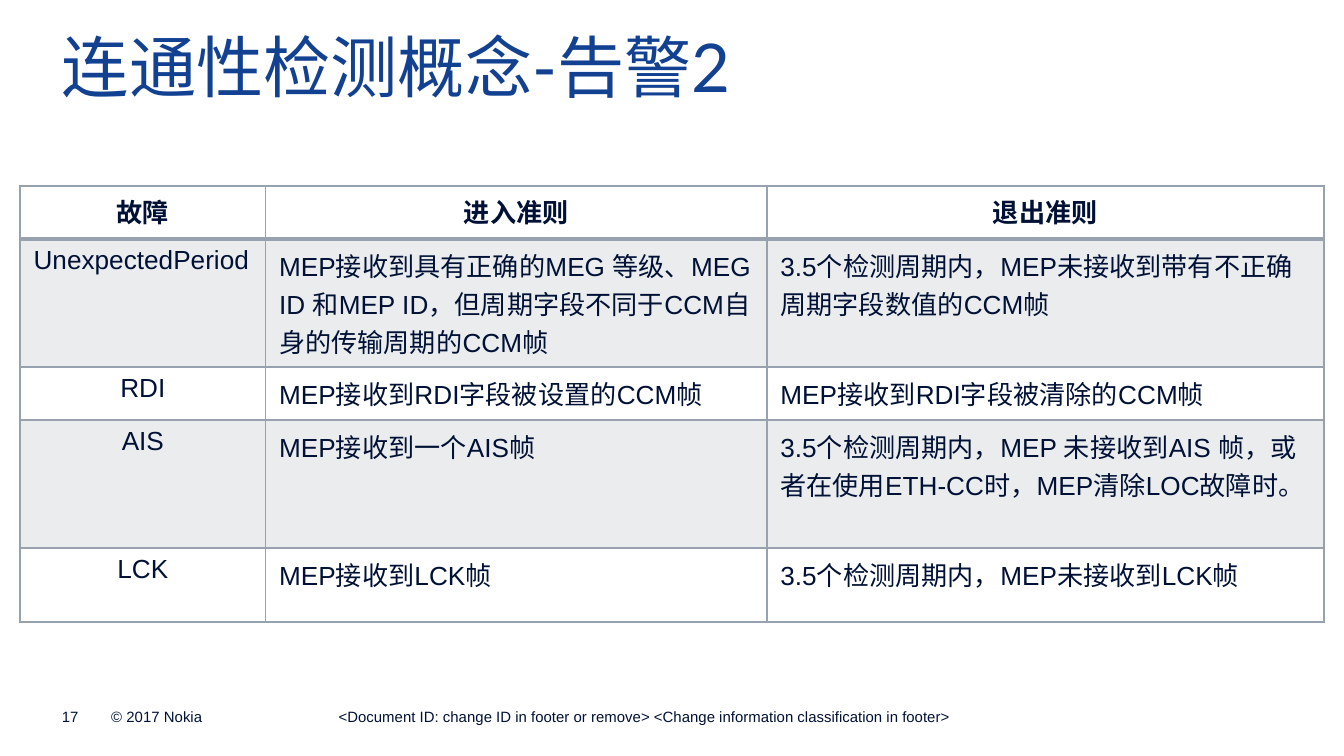
import lxml.etree
import pptx
import pptx.dml.color
import pptx.enum.text
import pptx.oxml.ns
import pptx.util

Pt = pptx.util.Pt
qn = pptx.oxml.ns.qn
ALIGN = pptx.enum.text.PP_ALIGN
ANCHOR = pptx.enum.text.MSO_ANCHOR

COLORS = {"title": "124191", "text": "001135", "grid": "98A2AE"}
FORMATS = {
    "title": {"name": "Lato", "size": Pt(36), "bold": False},
    "footer": {"name": "Arial", "size": Pt(8), "bold": False},
    "header": {"name": "Arial", "size": Pt(14), "bold": True},
    "body": {"name": "Arial", "size": Pt(14), "bold": False},
}
BAND_OPACITY = 20

COLUMN_WIDTHS = [131.5, 268.6, 298.3]
ROW_HEIGHTS = [28.5, 68.6, 28.5, 68.6, 39.6]
ALARMS = [
    ("故障", "进入准则", "退出准则"),
    ("UnexpectedPeriod",
     "MEP接收到具有正确的MEG 等级、MEG ID 和MEP ID，但周期字段不同于CCM自身的传输周期的CCM帧",
     "3.5个检测周期内，MEP未接收到带有不正确周期字段数值的CCM帧"),
    ("RDI", "MEP接收到RDI字段被设置的CCM帧", "MEP接收到RDI字段被清除的CCM帧"),
    ("AIS", "MEP接收到一个AIS帧",
     "3.5个检测周期内，MEP 未接收到AIS 帧，或者在使用ETH-CC时，MEP清除LOC故障时。"),
    ("LCK", "MEP接收到LCK帧", "3.5个检测周期内，MEP未接收到LCK帧"),
]
FOOTERS = [
    (33.1, 20.2, "17"),
    (59.6, 141.8, "© 2017 Nokia"),
    (181.4, 357.1, "<Document ID: change ID in footer or remove> "
                   "<Change information classification in footer>"),
]


def write_text(text_frame, text, style, color, alignment=ALIGN.LEFT):
    paragraph = text_frame.paragraphs[0]
    paragraph.alignment = alignment
    run = paragraph.add_run()
    run.text = text
    for attribute, value in FORMATS[style].items():
        setattr(run.font, attribute, value)
    run.font.color.rgb = pptx.dml.color.RGBColor.from_string(COLORS[color])


def add_text(slide, left, top, width, height, text, style, color, anchor):
    shape = slide.shapes.add_textbox(Pt(left), Pt(top), Pt(width), Pt(height))
    frame = shape.text_frame
    frame.word_wrap = True
    frame.vertical_anchor = anchor
    for side in ("left", "right", "top", "bottom"):
        setattr(frame, f"margin_{side}", 0)
    write_text(frame, text, style, color)


def add_element(parent, tag, **attributes):
    return lxml.etree.SubElement(parent, qn(tag), attributes)


def set_borders(cell, row_index):
    """Draw all four cell edges, with a heavier rule below the header row."""
    widths = {"L": 1, "R": 1,
              "T": 2 if row_index == 1 else 1,
              "B": 2 if row_index == 0 else 1}
    properties = cell._tc.get_or_add_tcPr()
    for side, width in widths.items():
        line = add_element(properties, f"a:ln{side}", w=str(Pt(width)))
        fill = add_element(line, "a:solidFill")
        add_element(fill, "a:srgbClr", val=COLORS["grid"])


def set_fill(cell, banded):
    if not banded:
        cell.fill.background()
        return
    cell.fill.solid()
    cell.fill.fore_color.rgb = pptx.dml.color.RGBColor.from_string(COLORS["grid"])
    color = cell._tc.tcPr.find(qn("a:solidFill")).find(qn("a:srgbClr"))
    add_element(color, "a:alpha", val=str(BAND_OPACITY * 1000))


def cell_alignment(row_index, column_index):
    """Centre the header and the short fault names; the long name fills its cell."""
    is_short_name = column_index == 0 and row_index != 1
    return ALIGN.CENTER if row_index == 0 or is_short_name else ALIGN.LEFT


def add_alarm_table(slide, left, top):
    frame = slide.shapes.add_table(
        len(ALARMS), len(COLUMN_WIDTHS), Pt(left), Pt(top),
        Pt(sum(COLUMN_WIDTHS)), Pt(sum(ROW_HEIGHTS)))
    table = frame.table
    table.first_row = table.horz_banding = False
    for column, width in zip(table.columns, COLUMN_WIDTHS):
        column.width = Pt(width)
    for row_index, texts in enumerate(ALARMS):
        table.rows[row_index].height = Pt(ROW_HEIGHTS[row_index])
        style = "header" if row_index == 0 else "body"
        for column_index, text in enumerate(texts):
            cell = table.cell(row_index, column_index)
            write_text(cell.text_frame, text, style, "text",
                       cell_alignment(row_index, column_index))
            set_borders(cell, row_index)
            set_fill(cell, banded=row_index % 2 == 1)


def main():
    presentation = pptx.Presentation()
    presentation.slide_width = Pt(720)
    presentation.slide_height = Pt(405)
    slide = presentation.slides.add_slide(presentation.slide_layouts[6])
    add_text(slide, 33.1, 13.7, 654.5, 41.8, "连通性检测概念-告警2",
             "title", "title", ANCHOR.TOP)
    add_alarm_table(slide, 10.8, 99.5)
    for left, width, text in FOOTERS:
        add_text(slide, left, 379.4, width, 9.4, text,
                 "footer", "text", ANCHOR.BOTTOM)
    presentation.save("out.pptx")


if __name__ == "__main__":
    main()
